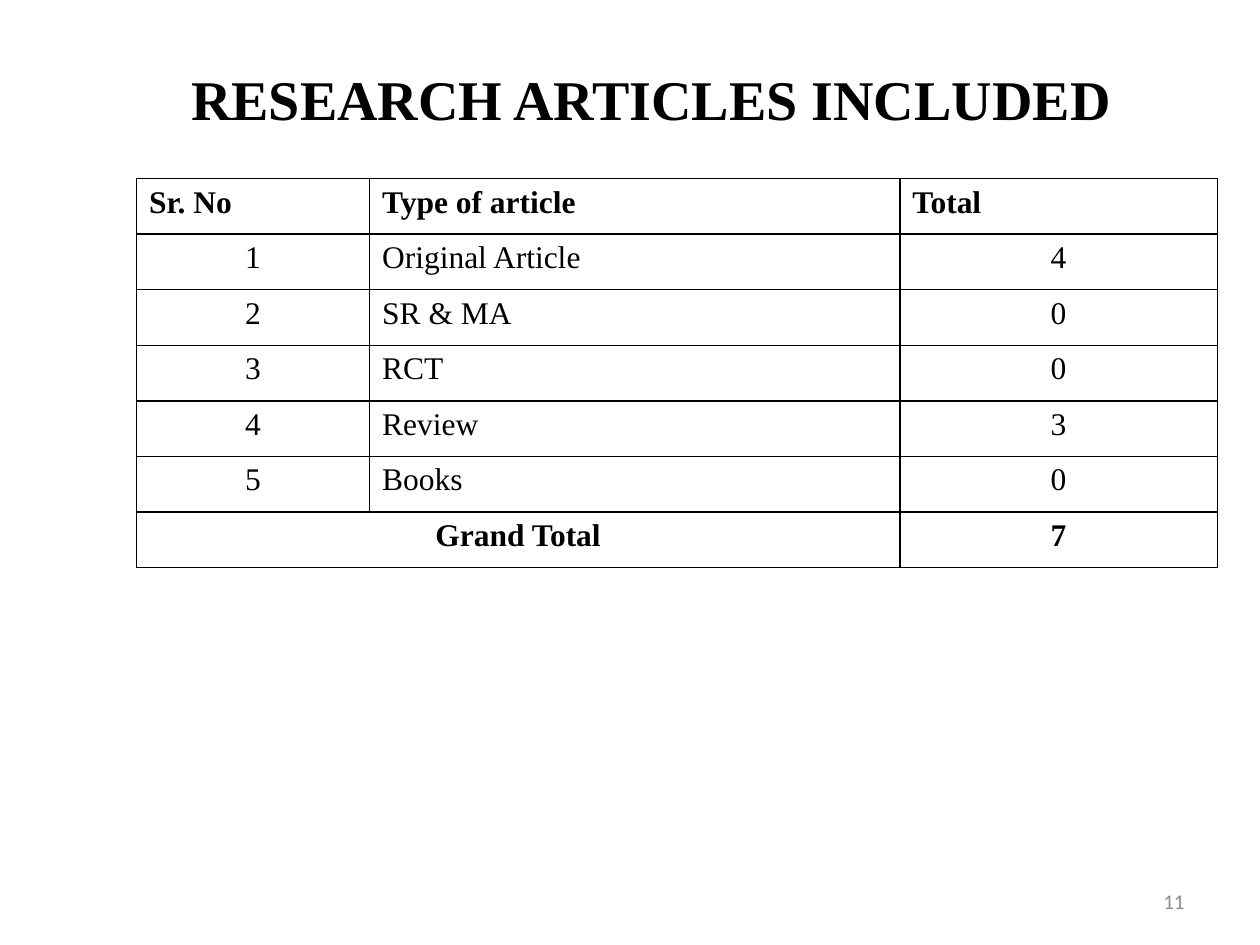
from lxml.etree import SubElement
from pptx import Presentation
from pptx.dml.color import RGBColor
from pptx.enum.text import MSO_ANCHOR, PP_ALIGN
from pptx.oxml.ns import qn
from pptx.util import Cm, Pt

COLORS = {"ink": "000000", "muted": "8C8C8C"}
HEADERS = ["Sr. No", "Type of article", "Total"]
ARTICLES = [("Original Article", 4), ("SR & MA", 0), ("RCT", 0), ("Review", 3), ("Books", 0)]
COLUMN_WIDTHS = [4.7, 10.69, 6.4]
ROW_HEIGHT = 1.12


def write_text(frame, text, font="Times New Roman", size=18, color="ink",
               bold=False, align=PP_ALIGN.LEFT):
    paragraph = frame.paragraphs[0]
    paragraph.alignment = align
    span = paragraph.add_run()
    span.text = text
    span.font.name = font
    span.font.size = Pt(size)
    span.font.bold = bold
    span.font.color.rgb = RGBColor.from_string(COLORS[color])


class SlideBuilder:
    def __init__(self, deck):
        self.page = deck.slides.add_slide(deck.slide_layouts[5])
        self.border_color = COLORS["ink"]
        self.border_width = Pt(1)

    def title(self, text, left, top, width, height):
        box = self.page.shapes.title
        box.left, box.top, box.width, box.height = map(Cm, (left, top, width, height))
        box.text_frame.vertical_anchor = MSO_ANCHOR.MIDDLE
        write_text(box.text_frame, text, size=32, bold=True, align=PP_ALIGN.CENTER)

    def page_number(self, text, left, top, width, height):
        box = self.page.shapes.add_textbox(*map(Cm, (left, top, width, height)))
        box.text_frame.word_wrap = True
        box.text_frame.vertical_anchor = MSO_ANCHOR.MIDDLE
        write_text(box.text_frame, text, font="Calibri", size=12, color="muted",
                   align=PP_ALIGN.RIGHT)

    def border(self, cell):
        properties = cell._tc.get_or_add_tcPr()
        for position, side in enumerate(("lnL", "lnR", "lnT", "lnB")):
            line = SubElement(properties, qn(f"a:{side}"), w=str(self.border_width))
            fill = SubElement(line, qn("a:solidFill"))
            SubElement(fill, qn("a:srgbClr"), val=self.border_color)
            properties.insert(position, line)

    def table(self, rows, left, top):
        frame = self.page.shapes.add_table(
            len(rows), len(COLUMN_WIDTHS), Cm(left), Cm(top),
            Cm(sum(COLUMN_WIDTHS)), Cm(ROW_HEIGHT * len(rows)))
        table = frame.table
        for column, width in zip(table.columns, COLUMN_WIDTHS):
            column.width = Cm(width)
        last = len(rows) - 1
        table.cell(last, 0).merge(table.cell(last, 1))
        for row, values in enumerate(rows):
            table.rows[row].height = Cm(ROW_HEIGHT)
            for column, value in enumerate(values):
                cell = table.cell(row, column)
                cell.fill.background()
                self.border(cell)
                if cell.is_spanned:
                    continue
                if row == 0:
                    align = PP_ALIGN.JUSTIFY
                elif column == 1:
                    align = PP_ALIGN.LEFT
                else:
                    align = PP_ALIGN.CENTER
                write_text(cell.text_frame, str(value), bold=row in (0, last), align=align)


def main():
    deck = Presentation()
    deck.slide_width, deck.slide_height = Cm(25.4), Cm(19.05)
    builder = SlideBuilder(deck)
    builder.title("RESEARCH ARTICLES INCLUDED", 1.7, 1.12, 22.86, 1.7)
    builder.page_number("11", 18.2, 17.66, 5.93, 1.01)
    numbered = [(number, *article) for number, article in enumerate(ARTICLES, 1)]
    total = sum(count for name, count in ARTICLES)
    builder.table([HEADERS, *numbered, ("Grand Total", "", total)], 2.75, 3.6)
    deck.save("out.pptx")


if __name__ == "__main__":
    main()
